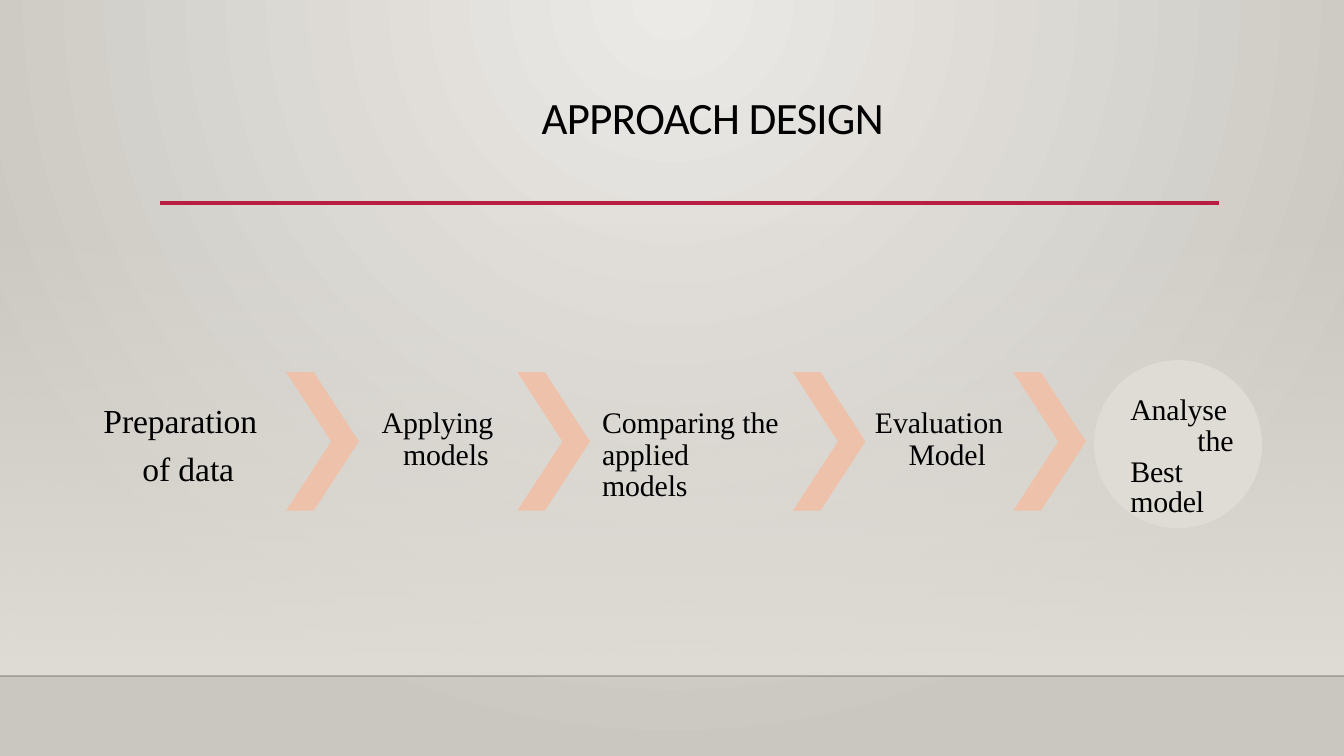
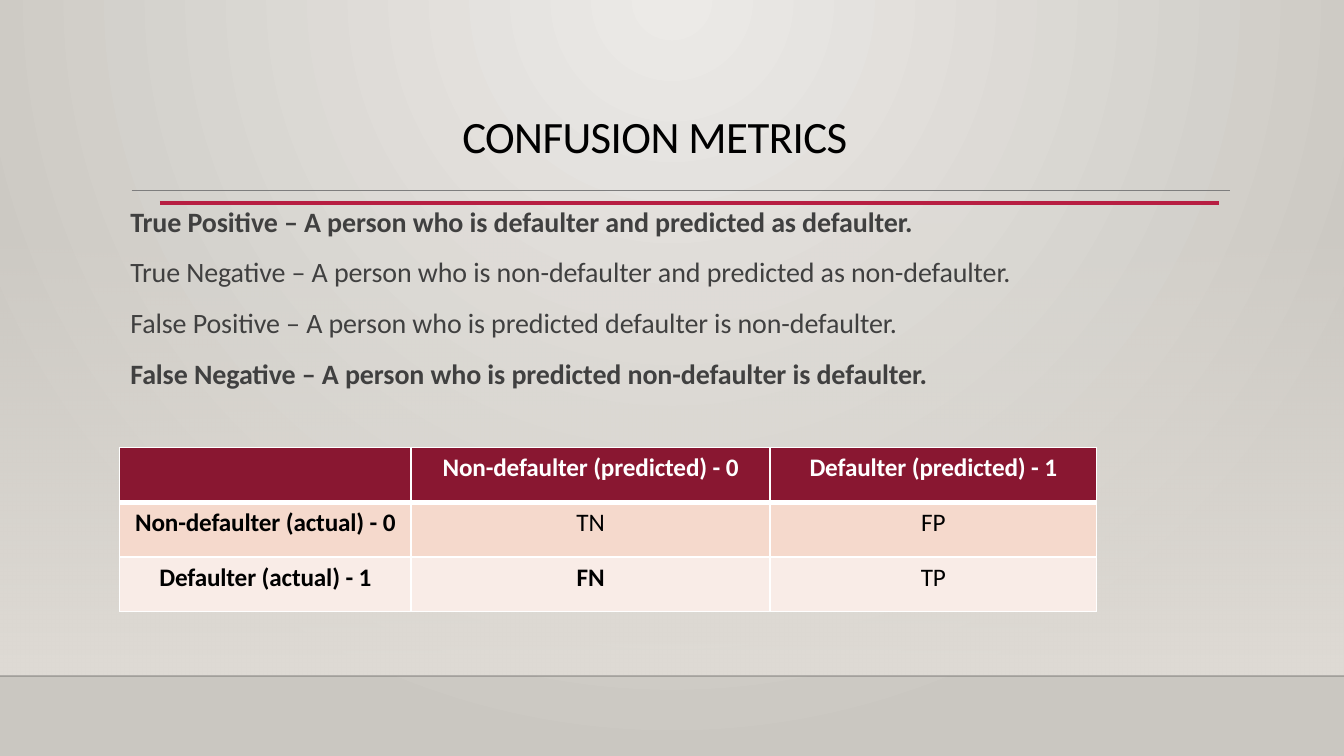
from dataclasses import dataclass

from lxml.etree import SubElement as Sub
from pptx import Presentation
from pptx.dml.color import RGBColor as RGB
from pptx.enum.shapes import MSO_CONNECTOR as CONN, MSO_SHAPE as SHAPE
from pptx.enum.text import MSO_ANCHOR as ANCHOR, MSO_AUTO_SIZE as AUTO, PP_ALIGN as ALIGN
from pptx.oxml.ns import qn
from pptx.util import Inches, Pt


@dataclass(frozen=True)
class Theme:
    """Colours, fonts and type sizes of the deck."""
    sans: str = "Calibri"
    serif: str = "Times New Roman"
    ink: str = "000000"
    body: str = "404040"
    white: str = "FFFFFF"
    accent: str = "B71E42"
    header: str = "891731"
    rows: tuple = ("F5D9CC", "F9ECE7")
    chevron: str = "EEC1AA"
    sand: str = "DFDBD5"
    glow: tuple = ("ECEAE7", "CAC7C1")
    floor: str = "000001"
    rule: str = "7E7E7E"
    title_pt: float = 24
    lead_pt: float = 18
    step_pt: float = 16
    body_pt: float = 15
    cell_pt: float = 13.5


T = Theme()


def place(sp, box):
    """Move a shape to a box of left, top, width and height in inches."""
    sp.left, sp.top, sp.width, sp.height = map(Inches, box)


def write(p, text, size, font=T.sans, color=T.ink, bold=False, spc=-0.05, align=ALIGN.LEFT,
          before=0, line=None, left=0, first=0, tab=None):
    """Fill one paragraph with formatted text."""
    p.text, p.alignment, p.space_before = text, align, Pt(before)
    if line:
        p.line_spacing = line
    for r in p.runs:
        f = r.font
        f.name, f.size, f.bold, f.color.rgb = font, Pt(size), bold, RGB.from_string(color)
        r._r.get_or_add_rPr().set("spc", str(round(spc * 100)))
    pPr = p._p.get_or_add_pPr()
    pPr.set("marL", str(Inches(left)))
    pPr.set("indent", str(Inches(first)))
    Sub(pPr, qn("a:buNone"))
    if tab:
        Sub(Sub(pPr, qn("a:tabLst")), qn("a:tab"), pos=str(Inches(tab)), algn="l")


def frame(sp, top=0.01):
    """Set the insets and flow of a text shape and return its frame."""
    tf = sp.text_frame
    tf.margin_left = tf.margin_right = tf.margin_bottom = 0
    tf.margin_top = Inches(top)
    tf.word_wrap, tf.auto_size, tf.vertical_anchor = True, AUTO.SHAPE_TO_FIT_TEXT, ANCHOR.TOP
    return tf


def line(s, x1, x2, y, color, width):
    """Draw a plain horizontal line."""
    c = s.shapes.add_connector(CONN.STRAIGHT, Inches(x1), Inches(y), Inches(x2), Inches(y))
    c.line.color.rgb, c.line.width = RGB.from_string(color), Pt(width)
    Sub(c.element.spPr, qn("a:effectLst"))
    return c


def shape(s, kind, box, color=None):
    """Add a preset shape without outline or shadow."""
    sp = s.shapes.add_shape(kind, *map(Inches, box))
    sp.shadow.inherit = False
    sp.line.fill.background()
    if color:
        sp.fill.solid()
        sp.fill.fore_color.rgb = RGB.from_string(color)
    return sp


def gradient(fill, colors):
    """Apply a gradient with one stop for each of two colours."""
    fill.gradient()
    for stop, color in zip(fill.gradient_stops, colors):
        stop.color.rgb = RGB.from_string(color)


def fade(element, percent):
    """Make the first colour of an element partly transparent."""
    Sub(element.find(".//" + qn("a:srgbClr")), qn("a:alpha"), val=str(percent * 1000))


def dress_master(master, s):
    """Give the master its background, wall band, floor line and title rule."""
    gradient(master.background.fill, T.glow)
    grad = master.element.find(".//" + qn("a:gradFill"))
    grad.remove(grad.find(qn("a:lin")))
    Sub(Sub(grad, qn("a:path"), path="circle"), qn("a:fillToRect"),
        l="43000", t="0", r="43000", b="100000")
    wall = shape(s, SHAPE.RECTANGLE, (0, 1.66, 10, 3.37))
    gradient(wall.fill, (T.sand, T.sand))
    wall.fill.gradient_angle = 270
    fade(wall.element, 0)
    floor = line(s, 0, 10, 5.03, T.floor, 1)
    fade(floor.element, 20)
    rule = line(s, 1.19, 9.07, 1.51, T.accent, 2.5)
    for i, sp in enumerate((wall, floor, rule)):
        sp.element.find(".//" + qn("p:cNvPr")).set("id", str(20 + i))
        master.shapes.element.insert(2 + i, sp.element)


def title(s, text, box, left, spc=-0.3):
    """Place and fill the slide title."""
    place(s.shapes.title, box)
    write(frame(s.shapes.title).paragraphs[0], text, T.title_pt, spc=spc, before=1.1, left=left)


def step(s, text, box, size=T.step_pt, top=0.05, **fmt):
    """Add the label of one process step."""
    tf = frame(s.shapes.add_textbox(*map(Inches, box)), top)
    write(tf.paragraphs[0], text, size, T.serif, **fmt)


def process(s, x, y):
    """Lay out the process row of labels, chevrons and final circle."""
    for dx in (1.38, 3.1, 5.15, 6.79):
        shape(s, SHAPE.CHEVRON, (x + dx, y + 0.09, 0.54, 1.03), T.chevron).adjustments[0] = 0.62
    shape(s, SHAPE.OVAL, (x + 7.39, y, 1.25, 1.25), T.sand)
    step(s, "Preparation\vof data", (x, y + 0.22, 1.18, 0.75), T.lead_pt, 0.01,
         line=1.21, before=1, left=0.31, first=-0.29)
    steps = [("Applying\vmodels", 2.08, 0.87, 0.17, -0.16),
             ("Comparing the\vapplied\vmodels", 3.71, 1.38, 0.02, 0),
             ("Evaluation\vModel", 5.74, 0.99, 0.27, -0.25)]
    for text, dx, w, left, first in steps:
        step(s, text, (x + dx, y + 0.31, w, 0.53),
             line=Pt(16.8), before=3.5, left=left, first=first)
    step(s, "Analyse\v\tthe\vBest\vmodel", (x + 7.64, y + 0.22, 0.8, 0.76),
         line=Pt(16.4), before=3.5, left=0.02, tab=0.46)


def definitions(s, items, box):
    """Fill the body placeholder with definitions, some in bold."""
    body = s.placeholders[1]
    place(body, box)
    tf = frame(body, 0.14)
    for i, (text, bold) in enumerate(items):
        p = tf.add_paragraph() if i else tf.paragraphs[0]
        write(p, text, T.body_pt, color=T.body, bold=bold, before=9.1, left=0.01)


def borders(cell, **widths):
    """Set white cell borders, one point wide unless a side says otherwise."""
    tcPr = cell._tc.get_or_add_tcPr()
    for i, side in enumerate("LRTB"):
        ln = Sub(tcPr, qn("a:ln" + side), w=str(Pt(widths.get(side, 1))))
        Sub(Sub(ln, qn("a:solidFill")), qn("a:srgbClr"), val=T.white)
        tcPr.insert(i, ln)


def matrix(s, data, bold, box, cols):
    """Build the confusion matrix table."""
    tb = s.shapes.add_table(len(data), len(cols), *map(Inches, box)).table
    for col, w in zip(tb.columns, cols):
        col.width = Inches(w)
    for i, values in enumerate(data):
        for j, text in enumerate(values):
            cell = tb.cell(i, j)
            cell.margin_left = cell.margin_right = cell.margin_bottom = 0
            cell.margin_top = Inches(0.04)
            cell.fill.solid()
            cell.fill.fore_color.rgb = RGB.from_string((T.header, *T.rows)[i])
            borders(cell, **({"B": 3}, {"T": 3}, {})[i])
            if text:
                write(cell.text_frame.paragraphs[0], text, T.cell_pt,
                      color=T.ink if i else T.white, bold=not i or not j or text in bold,
                      align=ALIGN.CENTER, before=2.8)


def approach_slide(s):
    """Build the approach design slide."""
    title(s, "APPROACH DESIGN", (1.19, 0.66, 7.88, 0.82), 2.84, spc=-0.35)
    process(s, 0.75, 2.68)


def metrics_slide(s):
    """Build the confusion metrics slide."""
    line(s, 0.98, 9.15, 1.42, T.rule, 0.48)
    title(s, "CONFUSION METRICS", (3.43, 0.8, 3.2, 0.42), 0.01)
    definitions(s, [
        ("True Positive – A person who is defaulter and predicted as defaulter.", True),
        ("True Negative – A person who is non-defaulter and predicted as non-defaulter.", False),
        ("False Positive – A person who is predicted defaulter is non-defaulter.", False),
        ("False Negative – A person who is predicted non-defaulter is defaulter.", True),
    ], (0.96, 1.38, 6.64, 1.54))
    matrix(s, [("", "Non-defaulter (predicted) - 0", "Defaulter (predicted) - 1"),
               ("Non-defaulter (actual) - 0", "TN", "FP"),
               ("Defaulter (actual) - 1", "FN", "TP")],
           {"FN"}, (0.89, 3.33, 7.27, 1.22), (2.17, 2.67, 2.43))


prs = Presentation()
prs.slide_width = Inches(10)
prs.slide_height = prs.slide_width * 9 // 16
approach = prs.slides.add_slide(prs.slide_layouts[5])
dress_master(prs.slide_master, approach)
approach_slide(approach)
metrics_slide(prs.slides.add_slide(prs.slide_layouts[1]))
prs.save("out.pptx")
